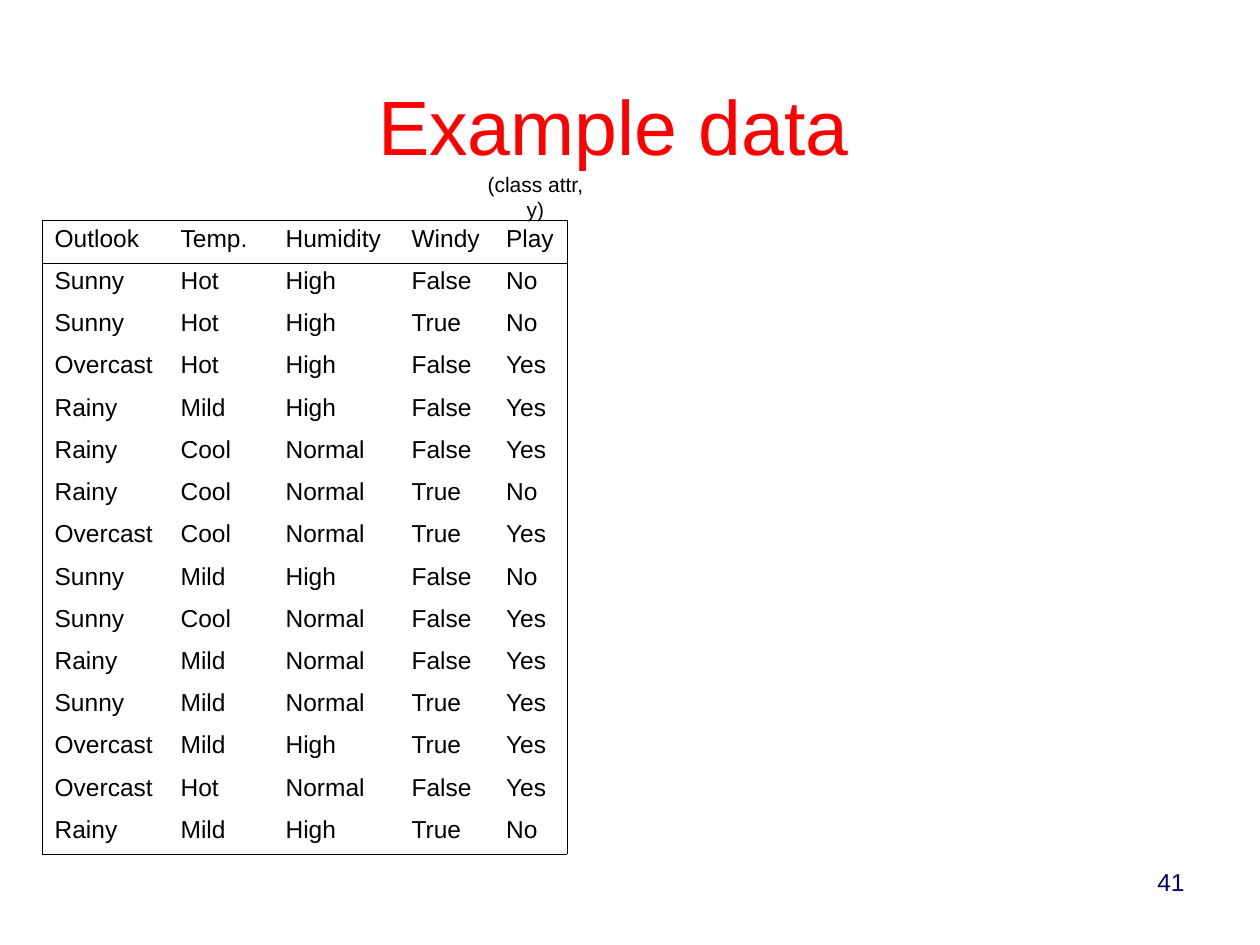
from lxml.etree import SubElement
from pptx import Presentation
from pptx.dml.color import RGBColor
from pptx.enum.text import MSO_ANCHOR as Anchor, MSO_AUTO_SIZE as AutoSize, PP_ALIGN as Align
from pptx.oxml.ns import qn
from pptx.util import Pt

FONT = "Arial"
BLACK = "000000"
COLUMN_WIDTHS = [72, 60, 72, 54, 42]
WEATHER = [line.split() for line in """\
Outlook Temp. Humidity Windy Play
Sunny Hot High False No
Sunny Hot High True No
Overcast Hot High False Yes
Rainy Mild High False Yes
Rainy Cool Normal False Yes
Rainy Cool Normal True No
Overcast Cool Normal True Yes
Sunny Mild High False No
Sunny Cool Normal False Yes
Rainy Mild Normal False Yes
Sunny Mild Normal True Yes
Overcast Mild High True Yes
Overcast Hot Normal False Yes
Rainy Mild High True No""".splitlines()]


def color(value):
    """Turn a hex string into a colour."""
    return RGBColor.from_string(value)


def write(frame, text, size=14, fill=BLACK, align=Align.LEFT, anchor=Anchor.TOP, spacing=1.0):
    """Put one formatted paragraph in a text frame."""
    frame.word_wrap = True
    frame.vertical_anchor = anchor
    para = frame.paragraphs[0]
    para.text = text
    para.alignment = align
    para.line_spacing = spacing
    for span in para.runs:
        span.font.name = FONT
        span.font.size = Pt(size)
        span.font.color.rgb = color(fill)


def set_borders(cell, sides, width=0.23):
    """Draw the named sides of a cell and clear the others."""
    properties = cell._tc.get_or_add_tcPr()
    for index, side in enumerate("LRTB"):
        line = SubElement(properties, qn(f"a:ln{side}"), w=str(Pt(width)))
        properties.insert(index, line)
        if side in sides:
            solid = SubElement(line, qn("a:solidFill"))
            SubElement(solid, qn("a:srgbClr"), val=BLACK)
        else:
            SubElement(line, qn("a:noFill"))


def add_title(page, left, top, width, height):
    """Place the slide title."""
    title = page.shapes.title
    title.left, title.top, title.width, title.height = map(Pt, (left, top, width, height))
    write(title.text_frame, "Example data", size=44, fill="FF0000",
          align=Align.CENTER, anchor=Anchor.MIDDLE)
    title.text_frame.auto_size = AutoSize.NONE


def add_weather_table(page, left, top, width, height):
    """Place the weather data with an outer frame and a ruled header."""
    frame = page.shapes.add_table(len(WEATHER), len(COLUMN_WIDTHS),
                                  *map(Pt, (left, top, width, height)))
    table = frame.table
    table.first_row = table.horz_banding = False
    for column, column_width in zip(table.columns, COLUMN_WIDTHS):
        column.width = Pt(column_width)
    last_row, last_column = len(WEATHER) - 1, len(COLUMN_WIDTHS) - 1
    for row, values in enumerate(WEATHER):
        table.rows[row].height = Pt(height / len(WEATHER))
        for column, value in enumerate(values):
            cell = table.cell(row, column)
            cell.fill.background()
            write(cell.text_frame, value, spacing=0.93)
            drawn = {"L": column == 0, "R": column == last_column,
                     "T": row in (0, 1), "B": row in (0, last_row)}
            set_borders(cell, [side for side, shown in drawn.items() if shown])


def add_label(page, text, left, top, width, height, **style):
    """Place a free text box."""
    box = page.shapes.add_textbox(*map(Pt, (left, top, width, height)))
    write(box.text_frame, text, **style)


def main():
    """Build the slide and save it."""
    deck = Presentation()
    deck.slide_width, deck.slide_height = Pt(720), Pt(540)
    page = deck.slides.add_slide(deck.slide_layouts[5])
    add_title(page, 26.64, 26, 648, 90)
    add_weather_table(page, 24, 126, sum(COLUMN_WIDTHS), 362.1)
    add_label(page, "41", 516, 492, 168, 37.5, fill="000066", align=Align.RIGHT)
    add_label(page, "(class attr,\vy)", 269.3, 94.3, 73.4, 36, size=12, align=Align.CENTER)
    deck.save("out.pptx")


if __name__ == "__main__":
    main()
